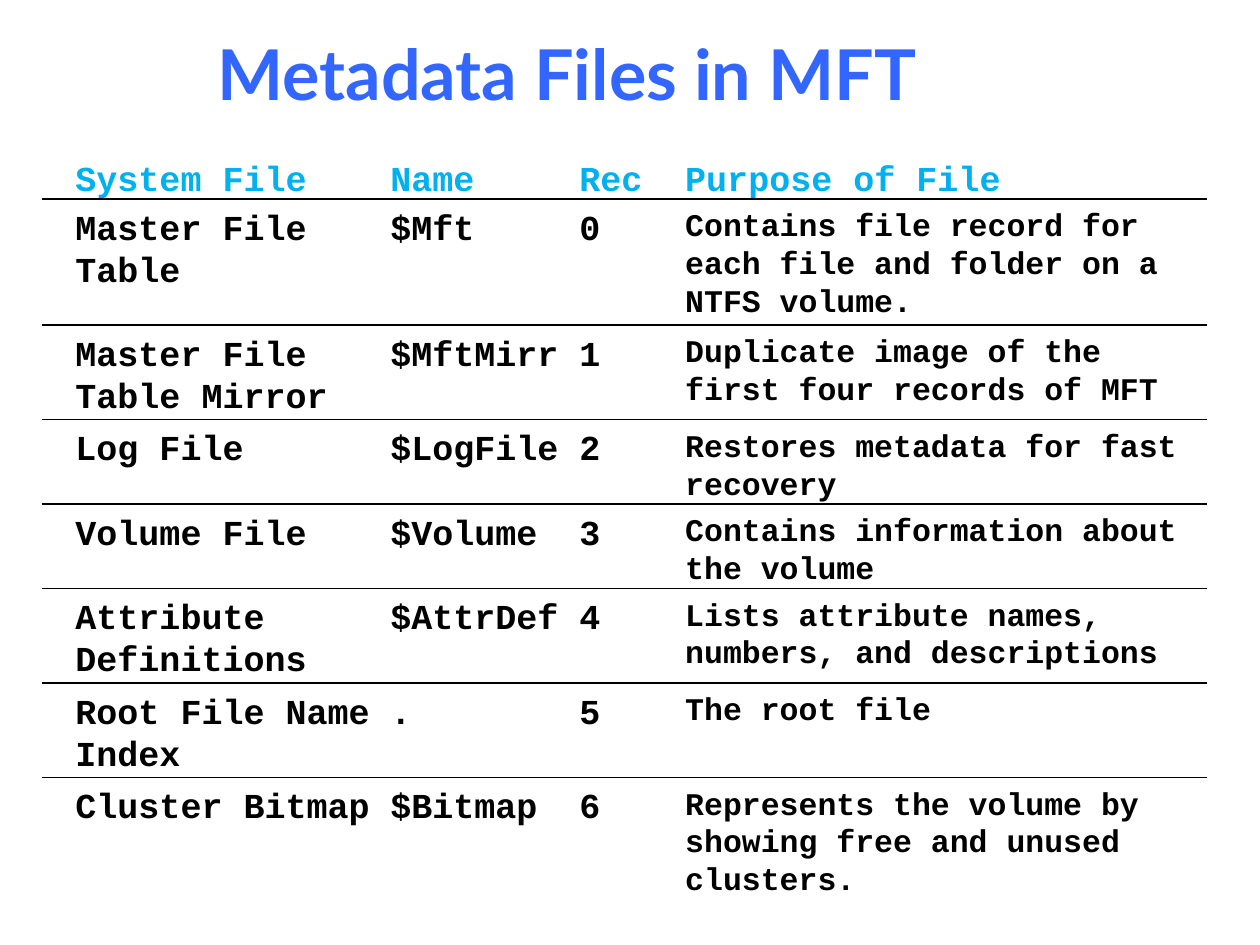
from lxml import etree
from pptx import Presentation
from pptx.dml.color import RGBColor
from pptx.enum.shapes import MSO_CONNECTOR
from pptx.enum.text import MSO_ANCHOR, PP_ALIGN
from pptx.oxml.ns import qn
from pptx.util import Inches, Pt

STRAIGHT = MSO_CONNECTOR.STRAIGHT
MIDDLE = MSO_ANCHOR.MIDDLE
CENTER = PP_ALIGN.CENTER

COLORS = {"title": "3366FF", "header": "00B0F0", "text": "000000"}
TITLE = "Metadata Files in MFT"
HEADERS = ("System File", "Name\tRec", "Purpose of File")
HEADER_TOP = 1.23
# top, system file, name, record, purpose
ROWS = [
    (1.58, "Master File Table", "$Mft", 0,
     "Contains file record for each file and folder on a NTFS volume."),
    (2.58, "Master File Table Mirror", "$MftMirr", 1,
     "Duplicate image of the first four records of MFT"),
    (3.33, "Log File", "$LogFile", 2, "Restores metadata for fast recovery"),
    (4, "Volume File", "$Volume", 3, "Contains information about the volume"),
    (4.67, "Attribute Definitions", "$AttrDef", 4,
     "Lists attribute names, numbers, and descriptions"),
    (5.42, "Root File Name Index", ".", 5, "The root file"),
    (6.17, "Cluster Bitmap", "$Bitmap", 6,
     "Represents the volume by showing free and unused clusters."),
]
# left, width, height, text size
COLUMNS = [(0.5, 2.58, 0.83, 20), (3, 2.5, 0.83, 20), (5.34, 4.17, 1, 18)]
RULE_LEFT, RULE_RIGHT = 0.33, 9.58
RECORD_TAB = 1.5


def style(paragraph, font_name, size, color):
    """Set the bold font of a whole paragraph."""
    font = paragraph.font
    font.name, font.size, font.bold = font_name, Pt(size), True
    font.color.rgb = RGBColor.from_string(COLORS[color])


def add_text(slide, text, left, top, width, height, size, color, spacing):
    """Add one cell of the listing, with a tab stop where the text has a tab."""
    box = slide.shapes.add_textbox(*map(Inches, (left, top, width, height)))
    frame = box.text_frame
    frame.word_wrap = True
    paragraph = frame.paragraphs[0]
    paragraph.text = text
    paragraph.line_spacing = spacing
    if "\t" in text:
        properties = paragraph._p.get_or_add_pPr()
        tabs = etree.SubElement(properties, qn("a:tabLst"))
        etree.SubElement(tabs, qn("a:tab"), pos=str(Inches(RECORD_TAB)), algn="l")
    style(paragraph, "Courier New", size, color)


def add_rule(slide, top):
    """Draw the thin line above a row."""
    rule = slide.shapes.add_connector(
        STRAIGHT, *map(Inches, (RULE_LEFT, top, RULE_RIGHT, top)))
    rule.line.color.rgb = RGBColor.from_string(COLORS["text"])
    rule.line.width = Pt(0.75)
    etree.SubElement(rule._element.spPr, qn("a:effectLst"))


def main():
    """Build the slide and save it."""
    deck = Presentation()
    deck.slide_width, deck.slide_height = Inches(10), Inches(7.5)
    slide = deck.slides.add_slide(deck.slide_layouts[5])

    title = slide.shapes.title
    title.left, title.top, title.width, title.height = map(Inches, (0, 0.14, 9, 0.87))
    title.text_frame.text = TITLE
    title.text_frame.vertical_anchor = MIDDLE
    heading = title.text_frame.paragraphs[0]
    heading.alignment = CENTER
    style(heading, "Lato", 40, "title")

    for text, (left, width, _, _) in zip(HEADERS, COLUMNS):
        add_text(slide, text, left, HEADER_TOP, width, 0.42, 20, "header", 0.9)
    for top, system_file, name, record, purpose in ROWS:
        add_rule(slide, top)
        cells = (system_file, f"{name}\t{record}", purpose)
        for text, (left, width, height, size) in zip(cells, COLUMNS):
            add_text(slide, text, left, top, width, height, size, "text", 1.0)

    deck.save("out.pptx")


if __name__ == "__main__":
    main()
